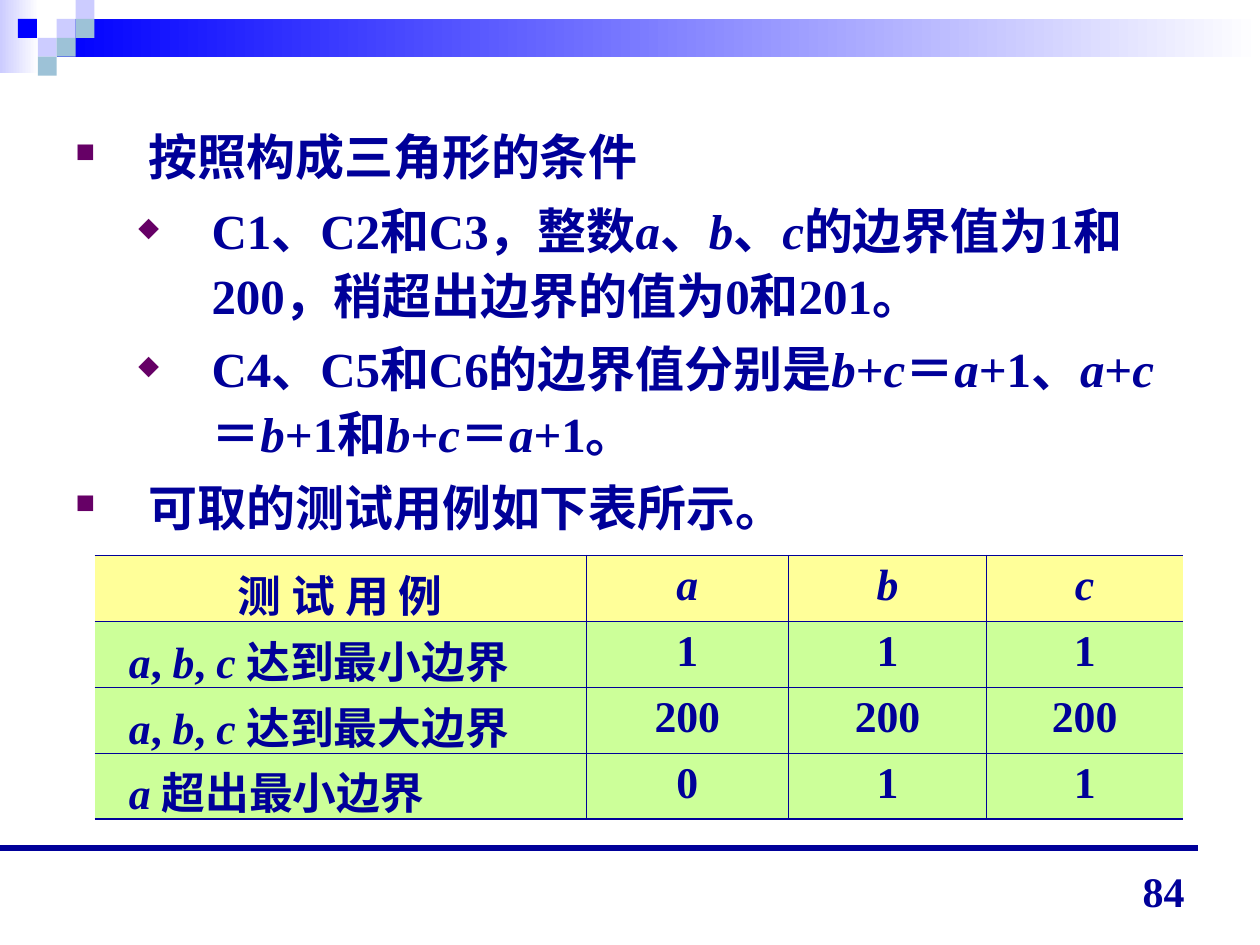
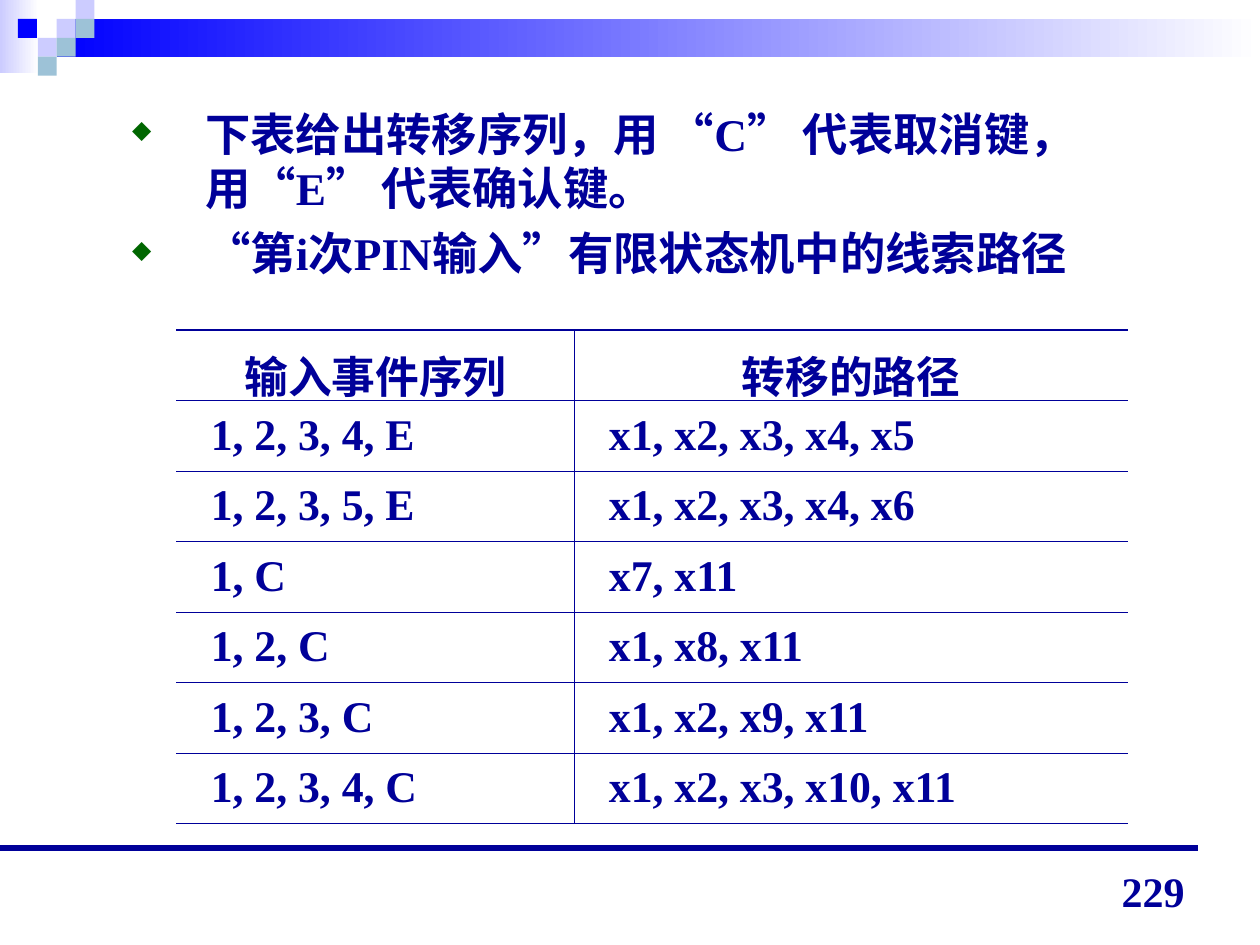
from lxml import etree
from pptx import Presentation
from pptx import util as u
from pptx.dml import color
from pptx.enum import shapes, text
from pptx.oxml import ns

Pt = u.Pt


class Theme:
    font = "Times New Roman"
    navy = "000099"
    blue = "0000FF"
    lilac = "CCCCFF"
    teal = "9DC2D7"
    white = "FFFFFF"
    plum = "660066"
    green = "006600"
    yellow = "FFFF99"
    lime = "CCFF99"
    grid = 25
    page = 24
    thin = 0.45
    thick = 1.08


def rgb(code):
    return color.RGBColor.from_string(code)


def write(para, line, size):
    para.font.name = Theme.font
    para.font.size = Pt(size)
    para.font.bold = True
    para.font.color.rgb = rgb(Theme.navy)
    for k, part in enumerate(line.split("_")):
        if part:
            run = para.add_run()
            run.text = part
            if k % 2:
                run.font.italic = True


pages = [
    dict(
        number="84", box=(36, 65.5, 653, 253.4), size=28, gap=5.2, lead=1.1, mark=Theme.plum,
        points=[
            (0, "按照构成三角形的条件"),
            (1, "C1、C2和C3，整数_a_、_b_、_c_的边界值为1和200，稍超出边界的值为0和201。"),
            (1, "C4、C5和C6的边界值分别是_b_+_c_＝_a_+1、_a_+_c_＝_b_+1和_b_+_c_＝_a_+1。"),
            (0, "可取的测试用例如下表所示。"),
        ],
        spot=(54, 317.5), cols=(280.8, 115.9, 113, 112.3), row=37.6, space=1,
        fills=(Theme.yellow, Theme.lime), center=True,
        cells=[
            ("测 试 用 例", "_a_", "_b_", "_c_"),
            ("_a_, _b_, _c _达到最小边界", "1", "1", "1"),
            ("_a_, _b_, _c _达到最大边界", "200", "200", "200"),
            ("_a _超出最小边界", "0", "1", "1"),
        ],
    ),
    dict(
        number="229", box=(32.4, 56.9, 652.3, 136), size=25.9, gap=6, lead=1, mark=Theme.green,
        points=[
            (1, "下表给出转移序列，用 “C” 代表取消键，用“E” 代表确认键。"),
            (1, "“第i次PIN输入”有限状态机中的线索路径"),
        ],
        spot=(100.8, 188.6), cols=(227.5, 316.1), row=40.3, space=1.1,
        fills=(None, None), center=False,
        cells=[
            ("输入事件序列", "转移的路径"),
            ("1, 2, 3, 4, E", "x1, x2, x3, x4, x5"),
            ("1, 2, 3, 5, E", "x1, x2, x3, x4, x6"),
            ("1, C", "x7, x11"),
            ("1, 2, C", "x1, x8, x11"),
            ("1, 2, 3, C", "x1, x2, x9, x11"),
            ("1, 2, 3, 4, C", "x1, x2, x3, x10, x11"),
        ],
    ),
]

tile = 10.8
bands = [(0, 0, 22.3, 41.8, Theme.lilac), (32.4, 10.8, 687.6, 21.6, Theme.blue)]
tiles = [
    (3, 1, Theme.lilac), (4, 0, Theme.lilac), (4, 1, Theme.teal), (2, 2, Theme.lilac),
    (0.95, 1, Theme.blue), (3, 2, Theme.teal), (2, 3, Theme.teal),
]
blocks = bands + [(x * tile, y * tile, tile, tile, hue) for x, y, hue in tiles]

deck = Presentation()
deck.slide_width = Pt(720)
deck.slide_height = Pt(540)

for page in pages:
    slide = deck.slides.add_slide(deck.slide_layouts[6])

    for *area, hue in blocks:
        block = slide.shapes.add_shape(shapes.MSO_SHAPE.RECTANGLE, *map(Pt, area))
        block.shadow.inherit = False
        block.line.fill.background()
        if area[2] > tile:
            block.fill.gradient()
            block.fill.gradient_angle = 0
            for stop, tone in zip(block.fill.gradient_stops, (hue, Theme.white)):
                stop.color.rgb = rgb(tone)
        else:
            block.fill.solid()
            block.fill.fore_color.rgb = rgb(hue)

    rule = slide.shapes.add_connector(
        shapes.MSO_CONNECTOR.STRAIGHT, Pt(0), Pt(484.6), Pt(684.7), Pt(484.6))
    rule.line.color.rgb = rgb(Theme.navy)
    rule.line.width = Pt(3.25)
    etree.SubElement(rule._element.spPr, ns.qn("a:effectLst"))

    body = slide.shapes.add_textbox(*map(Pt, page["box"])).text_frame
    body.word_wrap = True
    for k, (level, line) in enumerate(page["points"]):
        para = body.add_paragraph() if k else body.paragraphs[0]
        para.level = level
        para.line_spacing = page["lead"]
        if k:
            para.space_before = Pt(page["gap"])
        prop = para._p.get_or_add_pPr()
        prop.set("marL", str(Pt(77.8 if level else 41.8)))
        prop.set("indent", str(Pt(-41.8)))
        tint = etree.SubElement(prop, ns.qn("a:buClr"))
        etree.SubElement(tint, ns.qn("a:srgbClr"), val=page["mark"])
        etree.SubElement(prop, ns.qn("a:buSzPct"), val="55000")
        etree.SubElement(prop, ns.qn("a:buChar"), char="◆" if level else "■")
        write(para, line, page["size"])

    cells, cols = page["cells"], page["cols"]
    last = len(cells) - 1
    size = sum(cols), page["row"] * len(cells)
    table = slide.shapes.add_table(
        len(cells), len(cols), *map(Pt, page["spot"] + size)).table
    table.first_row = table.horz_banding = False
    for col, width in zip(table.columns, cols):
        col.width = Pt(width)
    for r, line in enumerate(cells):
        table.rows[r].height = Pt(page["row"])
        for c, word in enumerate(line):
            cell = table.cell(r, c)
            edges = {
                "L": Theme.thin if c else 0,
                "R": Theme.thin if c < len(cols) - 1 else 0,
                "T": Theme.thin if r else Theme.thick,
                "B": Theme.thin if r < last else Theme.thick,
            }
            prop = cell._tc.get_or_add_tcPr()
            for side, width in edges.items():
                edge = etree.SubElement(prop, ns.qn("a:ln" + side), w=str(Pt(width)))
                if width:
                    ink = etree.SubElement(edge, ns.qn("a:solidFill"))
                    etree.SubElement(ink, ns.qn("a:srgbClr"), val=Theme.navy)
                else:
                    etree.SubElement(edge, ns.qn("a:noFill"))
            hue = page["fills"][r > 0]
            if hue:
                cell.fill.solid()
                cell.fill.fore_color.rgb = rgb(hue)
            else:
                cell.fill.background()
            para = cell.text_frame.paragraphs[0]
            para.line_spacing = page["space"]
            if r == 0 or (c and page["center"]):
                para.alignment = text.PP_ALIGN.CENTER
            else:
                para._p.get_or_add_pPr().set("marL", str(Pt(12.5)))
            write(para, word, Theme.grid)

    foot = slide.shapes.add_textbox(Pt(516.2), Pt(491), Pt(167.8), Pt(36)).text_frame
    foot.word_wrap = True
    foot.vertical_anchor = text.MSO_ANCHOR.BOTTOM
    foot.paragraphs[0].alignment = text.PP_ALIGN.RIGHT
    write(foot.paragraphs[0], page["number"], Theme.page)

deck.save("out.pptx")
